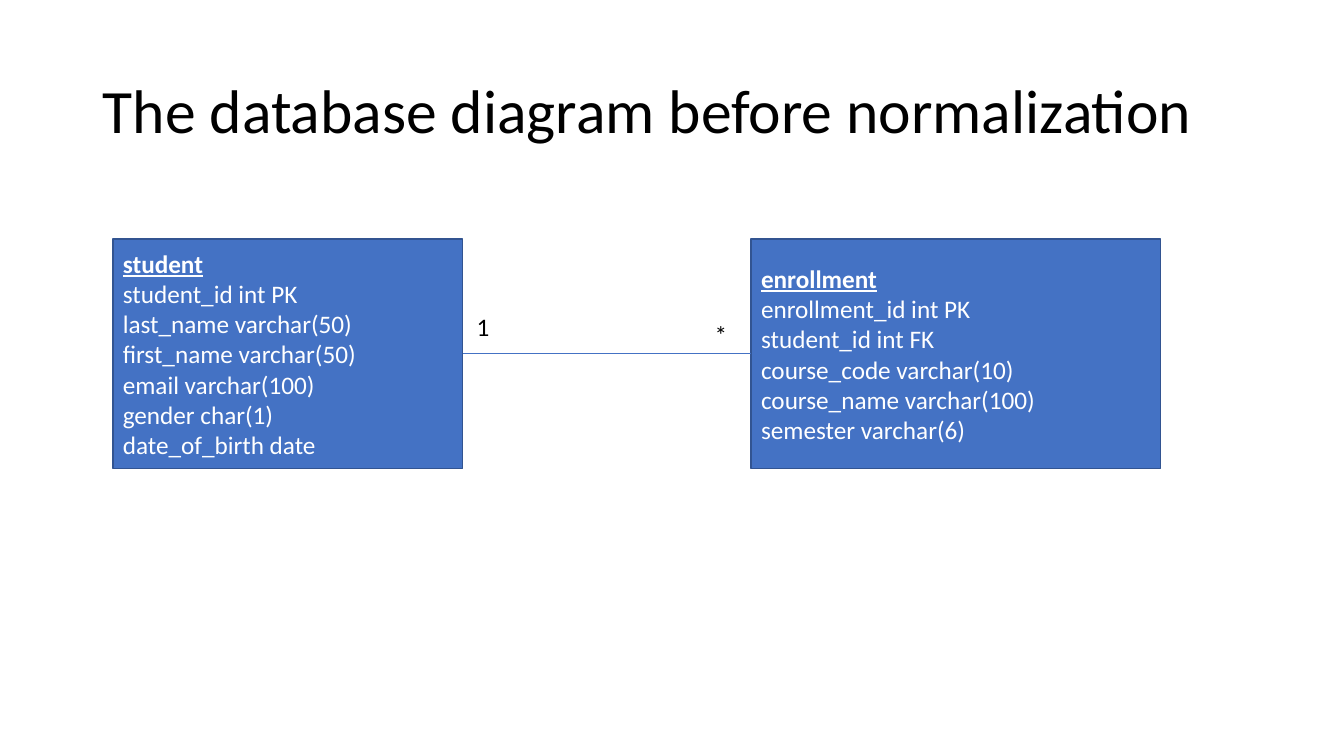
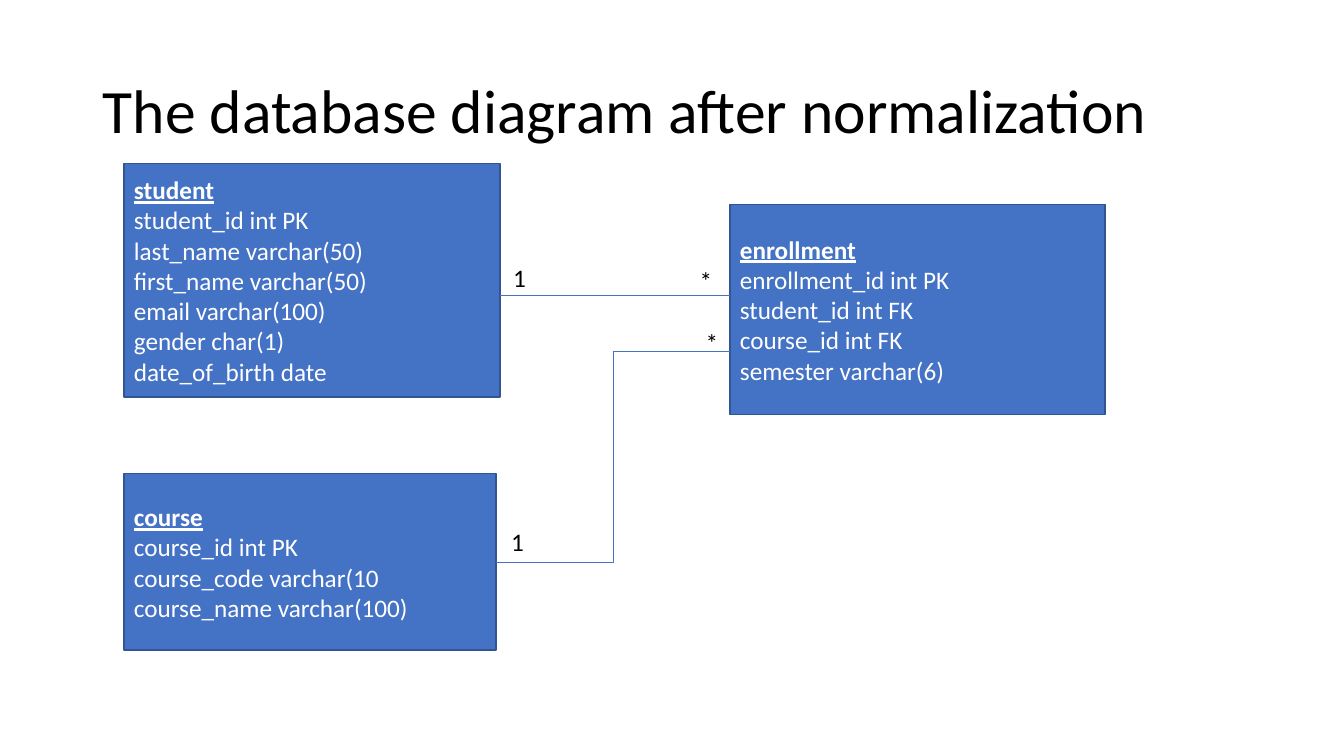
from dataclasses import dataclass

from lxml.etree import SubElement
from pptx import Presentation
from pptx.dml.color import RGBColor as Rgb
from pptx.enum.shapes import MSO_CONNECTOR as Conn, MSO_SHAPE as Shape
from pptx.enum.text import MSO_ANCHOR as Anchor, MSO_AUTO_SIZE as Fit, PP_ALIGN as Align
from pptx.oxml.ns import qn
from pptx.util import Pt

UNIT = 9144  # EMU per px, 100 px to the inch
RIGHT, LEFT = 3, 1


def px(*nums):
    return [n * UNIT for n in nums]


@dataclass(frozen=True)
class Theme:
    font: str = "Calibri"
    ink: Rgb = Rgb(0, 0, 0)
    paper: Rgb = Rgb(255, 255, 255)
    fill: Rgb = Rgb.from_string("4472C4")
    edge: Rgb = Rgb.from_string("325491")
    head: int = 44
    body: int = 18
    rim: float = 1
    wire: float = 0.5


class Deck:
    def __init__(self, theme):
        self.theme = theme
        self.prs = Presentation()
        self.prs.slide_width, self.prs.slide_height = px(1333, 750)
        self.slide = None

    def run(self, para, text, size, color, strong=False):
        run = para.add_run()
        run.text = text
        font = run.font
        font.name, font.size, font.bold = self.theme.font, Pt(size), strong
        font.underline = strong
        font.color.rgb = color

    def page(self, title):
        self.slide = self.prs.slides.add_slide(self.prs.slide_layouts[5])
        box = self.slide.shapes.title
        box.left, box.top, box.width, box.height = px(92, 40, 1150, 145)
        frame = box.text_frame
        frame.auto_size, frame.vertical_anchor = Fit.NONE, Anchor.MIDDLE
        para = frame.paragraphs[0]
        para.alignment, para.line_spacing = Align.LEFT, 0.9
        self.run(para, title, self.theme.head, self.theme.ink)

    def entity(self, name, cols, *area):
        """Draw a database table: underlined name, then its columns."""
        look = self.theme
        box = self.slide.shapes.add_shape(Shape.RECTANGLE, *px(*area))
        box.shadow.inherit = False
        box.fill.solid()
        box.fill.fore_color.rgb = look.fill
        box.line.color.rgb, box.line.width = look.edge, Pt(look.rim)
        frame = box.text_frame
        frame.word_wrap, frame.vertical_anchor = True, Anchor.MIDDLE
        for i, text in enumerate([name, *cols]):
            para = frame.add_paragraph() if i else frame.paragraphs[0]
            para.alignment = Align.LEFT
            self.run(para, text, look.body, look.paper, strong=i == 0)
        return box

    def line(self, kind, *ends):
        wire = self.slide.shapes.add_connector(kind, *px(*ends))
        wire.line.color.rgb = self.theme.fill
        wire.line.width = Pt(self.theme.wire)
        SubElement(wire._element.spPr, qn("a:effectLst"))
        return wire

    def mark(self, text, left, top, high=30):
        """Label one end of a relation with its cardinality."""
        look = self.theme
        box = self.slide.shapes.add_textbox(*px(left, top, 29, high))
        box.fill.solid()
        box.fill.fore_color.rgb = look.paper
        frame = box.text_frame
        frame.word_wrap, frame.auto_size = True, Fit.NONE
        self.run(frame.paragraphs[0], text, look.body, look.ink)


STUDENT = ["student_id int PK", "last_name varchar(50)", "first_name varchar(50)",
           "email varchar(100)", "gender char(1)", "date_of_birth date"]
ENROLL = ["enrollment_id int PK", "student_id int FK"]
TERM = "semester varchar(6)"


def before(deck):
    deck.page("The database diagram before normalization")
    student = deck.entity("student", STUDENT, 112, 237, 347, 228)
    enroll = deck.entity(
        "enrollment",
        [*ENROLL, "course_code varchar(10)", "course_name varchar(100)", TERM],
        745, 237, 406, 228)
    wire = deck.line(Conn.STRAIGHT, 459, 351, 745, 351)
    wire.begin_connect(student, RIGHT)
    wire.end_connect(enroll, LEFT)
    deck.mark("1", 463, 304)
    deck.mark("*", 699, 312)


def after(deck):
    deck.page("The database diagram after normalization")
    deck.entity("student", STUDENT, 123, 162, 373, 232)
    deck.entity(
        "course",
        ["course_id int PK", "course_code varchar(10", "course_name varchar(100)"],
        123, 470, 369, 175)
    deck.entity("enrollment", [*ENROLL, "course_id int FK", TERM],
                724, 203, 372, 208)
    deck.line(Conn.STRAIGHT, 496, 293, 724, 293)
    deck.line(Conn.ELBOW, 492, 558, 724, 349)
    deck.mark("1", 499, 255)
    deck.mark("*", 684, 258)
    deck.mark("*", 690, 320, 24)
    deck.mark("1", 497, 517)


def main():
    deck = Deck(Theme())
    before(deck)
    after(deck)
    deck.prs.save("out.pptx")


if __name__ == "__main__":
    main()
